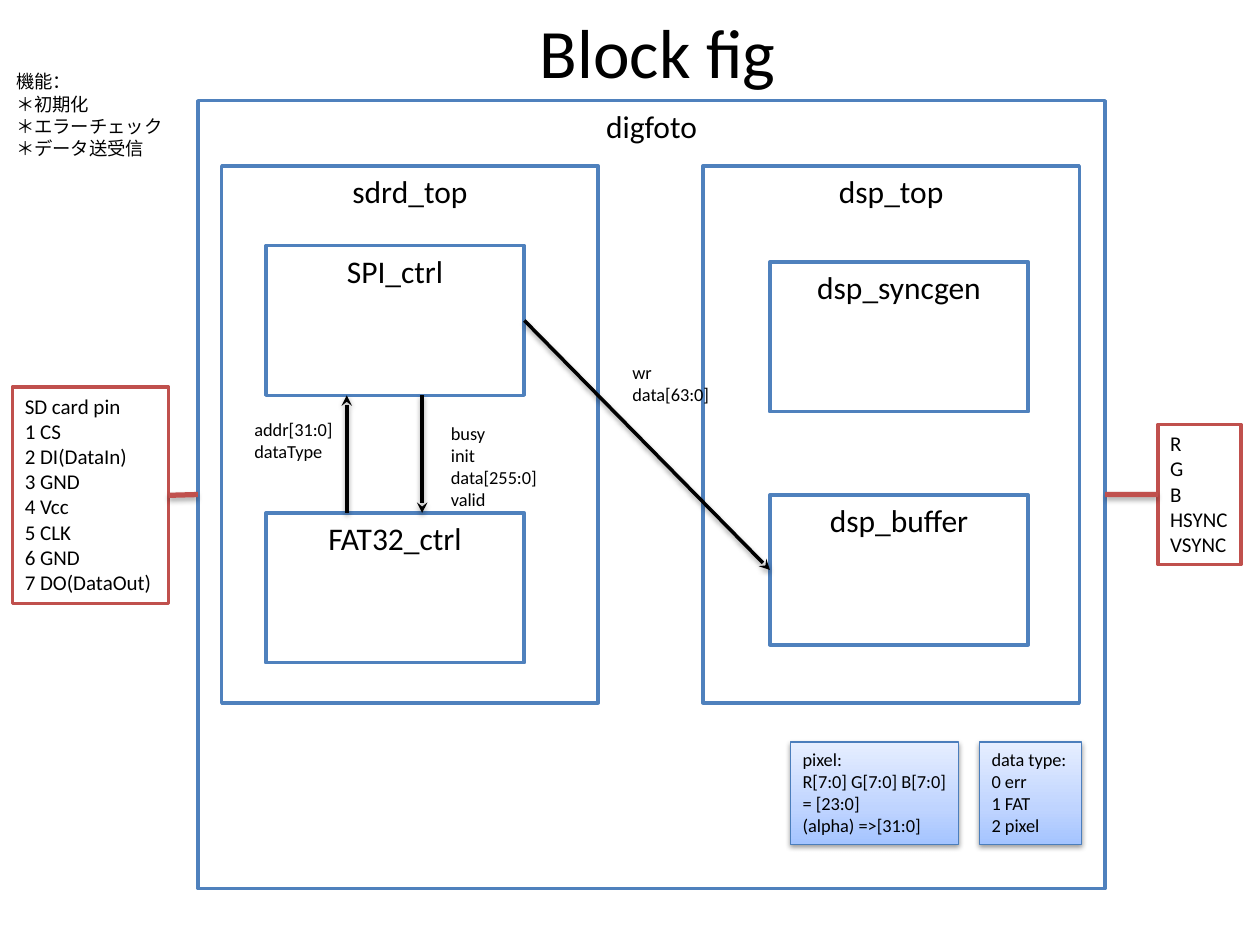
from copy import deepcopy
from dataclasses import dataclass

from lxml.etree import SubElement
from pptx import Presentation
from pptx.dml.color import RGBColor
from pptx.enum.shapes import MSO_CONNECTOR, MSO_SHAPE
from pptx.enum.text import MSO_ANCHOR, MSO_AUTO_SIZE, PP_ALIGN
from pptx.oxml.ns import qn
from pptx.util import Cm, Pt


@dataclass(frozen=True)
class Theme:
    font: str = "Calibri"
    text: str = "000000"
    paper: str = "FFFFFF"
    block: str = "4F81BD"
    port: str = "C0504D"
    note_line: str = "4B7EBC"
    note_stops: tuple = ((0, "A4C4FF"), (0.35, "BFD4FF"), (1, "E6EEFF"))
    title_size: float = 39.6
    block_size: float = 18
    port_size: float = 12
    note_size: float = 10.5


class Diagram:
    """Draws the blocks, ports, notes and signals of one slide."""

    def __init__(self, slide, theme):
        self.s, self.t = slide, theme

    def set_text(self, sp, text, size, align=PP_ALIGN.LEFT, **frame):
        tf = sp.text_frame
        frame = {"word_wrap": True, "vertical_anchor": MSO_ANCHOR.TOP, **frame}
        for name, value in frame.items():
            setattr(tf, name, value)
        for i, line in enumerate(text.split("\n")):
            p = tf.add_paragraph() if i else tf.paragraphs[0]
            p.alignment = align
            r = p.add_run()
            r.text = line
            for name, value in {"name": self.t.font, "size": Pt(size)}.items():
                setattr(r.font, name, value)
            r.font.color.rgb = RGBColor.from_string(self.t.text)

    def shadow(self, sp, alpha, dist):
        pr = sp._element.spPr
        effects = pr.find(qn("a:effectLst"))
        if effects is None:
            effects = SubElement(pr, qn("a:effectLst"))
        shade = SubElement(effects, qn("a:outerShdw"), blurRad=str(Pt(3.1)),
                           dist=str(Pt(dist)), dir="5400000", rotWithShape="0")
        color = SubElement(shade, qn("a:srgbClr"), val=self.t.text)
        SubElement(color, qn("a:alpha"), val=str(alpha * 1000))

    def rect(self, box, line, width):
        sp = self.s.shapes.add_shape(MSO_SHAPE.RECTANGLE, *map(Cm, box))
        sp.shadow.inherit = False
        sp.fill.solid()
        sp.fill.fore_color.rgb = RGBColor.from_string(self.t.paper)
        sp.line.color.rgb = RGBColor.from_string(line)
        sp.line.width = Pt(width)
        return sp

    def block(self, text, *box):
        sp = self.rect(box, self.t.block, 2)
        self.set_text(sp, text, self.t.block_size, PP_ALIGN.CENTER)
        return sp

    def port(self, text, *box):
        sp = self.rect(box, self.t.port, 2)
        self.set_text(sp, text, self.t.port_size, auto_size=MSO_AUTO_SIZE.SHAPE_TO_FIT_TEXT)
        return sp

    def note(self, text, *box, wrap=True):
        sp = self.rect(box, self.t.note_line, 0.75)
        sp.fill.gradient()
        sp.fill.gradient_angle = 90
        stops = sp._element.spPr.find(qn("a:gradFill")).find(qn("a:gsLst"))
        stops.append(deepcopy(stops[0]))
        for stop, (position, color) in zip(sp.fill.gradient_stops, self.t.note_stops):
            stop.position = position
            stop.color.rgb = RGBColor.from_string(color)
        self.shadow(sp, 38, 1.6)
        self.set_text(sp, text, self.t.note_size, word_wrap=wrap,
                      auto_size=MSO_AUTO_SIZE.SHAPE_TO_FIT_TEXT)

    def label(self, text, *box, wrap=False):
        sp = self.s.shapes.add_textbox(*map(Cm, box))
        self.set_text(sp, text, self.t.note_size, word_wrap=wrap,
                      auto_size=MSO_AUTO_SIZE.SHAPE_TO_FIT_TEXT)

    def title(self, text, *box):
        sp = self.s.shapes.add_textbox(*map(Cm, box))
        self.set_text(sp, text, self.t.title_size, PP_ALIGN.CENTER,
                      vertical_anchor=MSO_ANCHOR.MIDDLE)

    def line(self, ends, color, width):
        sp = self.s.shapes.add_connector(MSO_CONNECTOR.STRAIGHT, *map(Cm, ends))
        sp.line.color.rgb = RGBColor.from_string(color)
        sp.line.width = Pt(width)
        return sp

    def link(self, start, start_site, end, end_site):
        sp = self.line((0, 0, 0, 0), self.t.port, 3)
        sp.begin_connect(start, start_site)
        sp.end_connect(end, end_site)
        self.shadow(sp, 35, 1.8)

    def signal(self, *ends):
        sp = self.line(ends, self.t.text, 2)
        SubElement(sp._element.spPr.find(qn("a:ln")), qn("a:tailEnd"), type="stealth")
        self.shadow(sp, 38, 1.6)


LEFT, RIGHT = 1, 3
UNIT_W, UNIT_H = 5.21, 3.02
SD_X, DSP_X = 5.36, 15.52
SPI_Y, FAT_Y, SYNC_Y, BUFFER_Y = 4.95, 10.34, 5.28, 9.98
SPI_BOTTOM = SPI_Y + UNIT_H

prs = Presentation()
prs.slide_width, prs.slide_height = Cm(25.4), Cm(19.05)
d = Diagram(prs.slides.add_slide(prs.slide_layouts[6]), Theme())

digfoto = d.block("digfoto", 3.99, 2.03, 18.29, 15.88)
d.title("Block fig", 3.99, 0, 18.54, 2.03)
for name, x in (("sdrd_top", 4.47), ("dsp_top", 14.17)):
    d.block(name, x, 3.35, 7.59, 10.82)
for name, x, y in (("FAT32_ctrl", SD_X, FAT_Y), ("SPI_ctrl", SD_X, SPI_Y),
                   ("dsp_buffer", DSP_X, BUFFER_Y), ("dsp_syncgen", DSP_X, SYNC_Y)):
    d.block(name, x, y, UNIT_W, UNIT_H)

card = d.port("SD card pin\n1 CS\n2 DI(DataIn)\n3 GND\n4 Vcc\n5 CLK\n6 GND\n7 DO(DataOut)",
              0.25, 7.8, 3.15, 4.37)
video = d.port("R\nG\nB\nHSYNC\nVSYNC", 23.34, 8.56, 1.68, 2.82)
d.link(card, RIGHT, digfoto, LEFT)
d.link(video, LEFT, digfoto, RIGHT)

d.signal(6.99, FAT_Y, 6.99, SPI_BOTTOM)
d.signal(8.51, SPI_BOTTOM, 8.51, FAT_Y)
d.signal(SD_X + UNIT_W, SPI_Y + UNIT_H / 2, DSP_X, BUFFER_Y + UNIT_H / 2)

d.label("addr[31:0]\ndataType", 4.88, 8.31, 2.11, 1.6)
d.label("busy\ninit\ndata[255:0]\nvalid", 8.84, 8.38, 2.26, 2.49)
d.label("wr\ndata[63:0]", 12.5, 7.16, 2.08, 1.14)
d.label("機能：\n＊初期化\n＊エラーチェック\n＊データ送受信", 0.08, 1.3, 3.91, 2.49, wrap=True)
d.note("data type:\n0 err\n1 FAT\n2 pixel", 19.74, 14.96, 2.06, 2.06, wrap=False)
d.note("pixel:\nR[7:0] G[7:0] B[7:0]\n= [23:0]\n(alpha) =>[31:0]", 15.93, 14.96, 3.4, 2.06)

prs.save("out.pptx")
